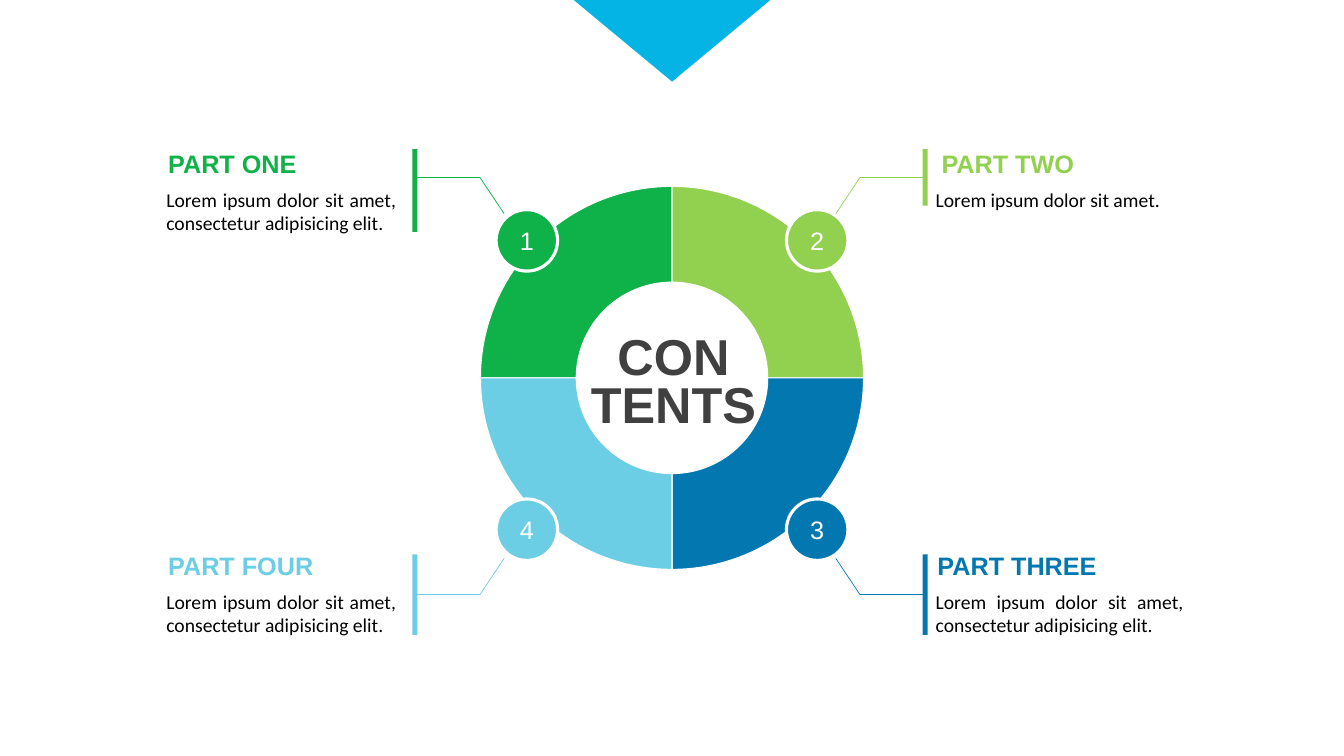
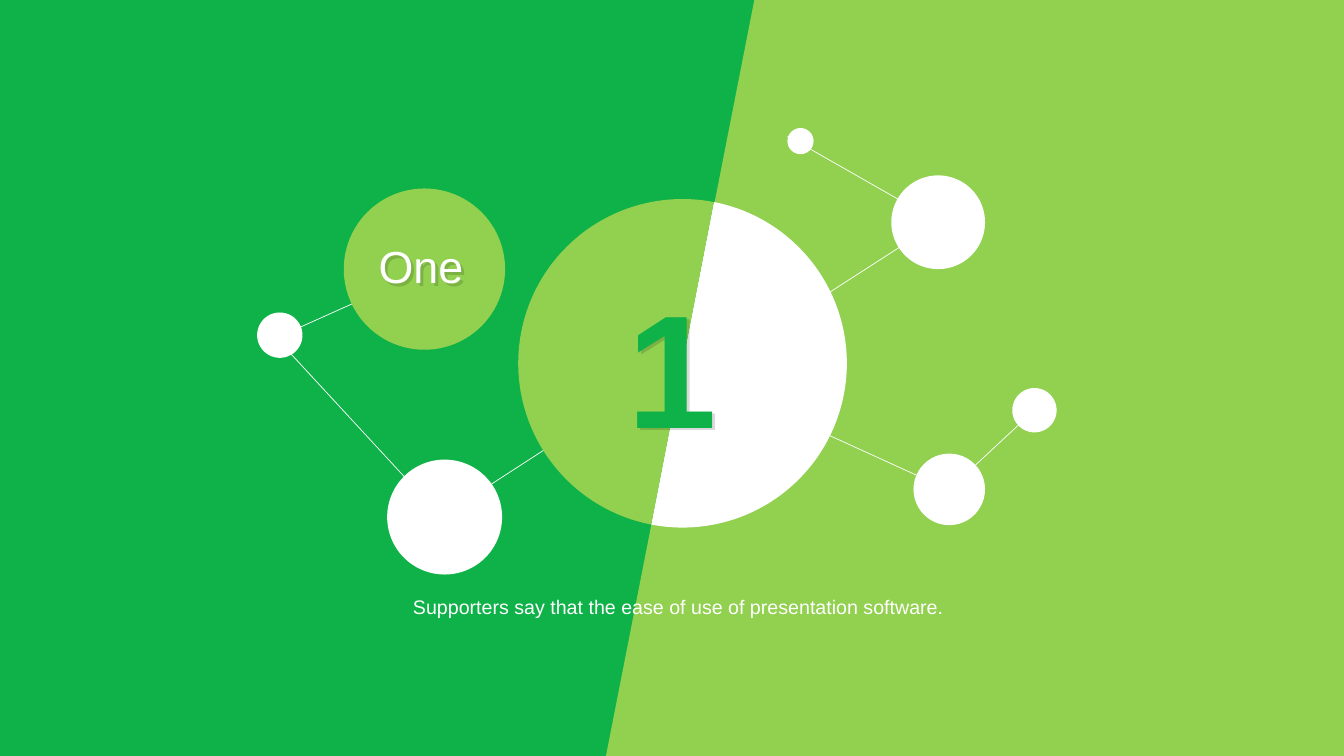
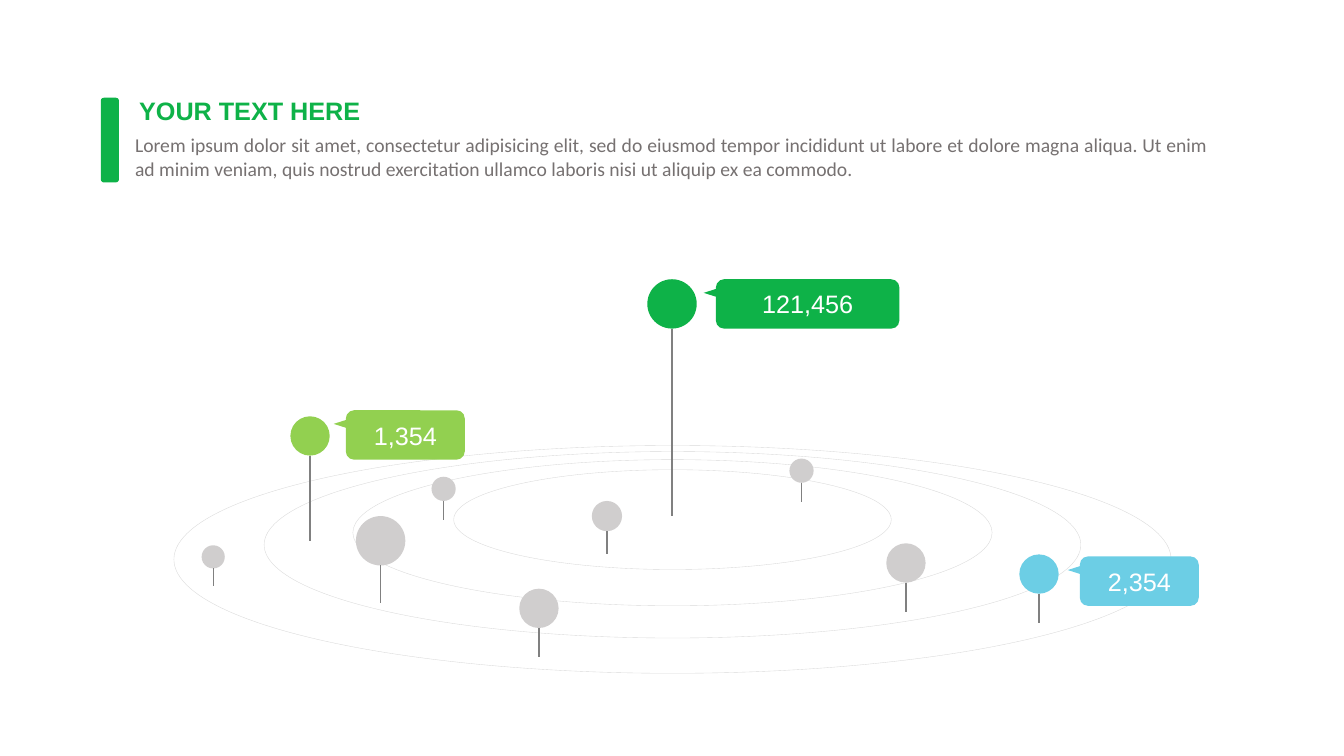
from lxml import etree
from pptx import Presentation
from pptx.chart.data import CategoryChartData
from pptx.dml.color import RGBColor
from pptx.enum.chart import XL_CHART_TYPE
from pptx.enum.shapes import MSO_CONNECTOR, MSO_SHAPE
from pptx.enum.text import MSO_ANCHOR, MSO_AUTO_SIZE, PP_ALIGN
from pptx.oxml import parse_xml
from pptx.oxml.ns import qn
from pptx.util import Inches, Pt

GREEN, LIME, BLUE, AQUA, CYAN = "0EB248", "92D050", "0378B0", "6CCEE5", "04B4E5"
WHITE, BLACK, CHARCOAL = "FFFFFF", "000000", "404040"
STEM, PIN, RING, MUTED = "808080", "D0CECE", "D9D9D9", "767171"
DRAWING = "http://schemas.openxmlformats.org/drawingml/2006/main"
LOREM = "Lorem ipsum dolor sit amet"


# Shared helpers
def rgb(value):
    return RGBColor.from_string(value)


def inches(*lengths):
    return [Inches(length) for length in lengths]


def add_page(deck, background=WHITE):
    page = deck.slides.add_slide(deck.slide_layouts[5])
    page.background.fill.solid()
    page.background.fill.fore_color.rgb = rgb(background)
    return page


def write(frame, text, size, color, bold=False, name="Arial", align=PP_ALIGN.LEFT):
    frame.text = text
    for para in frame.paragraphs:
        para.alignment = align
        para.font.size = Pt(size)
        para.font.bold = bold
        para.font.name = name
        para.font.color.rgb = rgb(color)


def set_title(page, at, text, size, color, bold=True, align=PP_ALIGN.LEFT):
    """Place the title in front of everything drawn so far."""
    title = page.shapes.title
    title.left, title.top, title.width, title.height = inches(*at)
    title.element.getparent().append(title.element)
    frame = title.text_frame
    write(frame, text, size, color, bold, align=align)
    frame.auto_size = MSO_AUTO_SIZE.NONE
    frame.vertical_anchor = MSO_ANCHOR.TOP
    frame.word_wrap = False
    return title


def add_label(page, at, text, size, color, bold=False, align=PP_ALIGN.LEFT):
    box = page.shapes.add_textbox(*inches(*at))
    box.text_frame.word_wrap = True
    write(box.text_frame, text, size, color, bold, align=align)
    return box


def add_body(page, at, text, color=BLACK):
    box = page.shapes.add_textbox(*inches(*at))
    frame = box.text_frame
    frame.word_wrap = True
    frame.margin_left = frame.margin_right = Inches(0.08)
    frame.margin_top = frame.margin_bottom = Inches(0.04)
    write(frame, text, 14, color, name="Calibri", align=PP_ALIGN.JUSTIFY)
    frame.paragraphs[0].space_after = Pt(6)


def add_shape(page, preset, at, fill=None, line=None, width=1, text=None, rotation=0):
    shape = page.shapes.add_shape(preset, *inches(*at))
    shape.shadow.inherit = False
    shape.rotation = rotation
    if fill:
        shape.fill.solid()
        shape.fill.fore_color.rgb = rgb(fill)
    else:
        shape.fill.background()
    if line:
        shape.line.color.rgb = rgb(line)
        shape.line.width = Pt(width)
    else:
        shape.line.fill.background()
    if text:
        shape.text_frame.vertical_anchor = MSO_ANCHOR.MIDDLE
        write(shape.text_frame, text, 18, WHITE, align=PP_ALIGN.CENTER)
    return shape


def add_line(page, start, end, color, width=0.5):
    line = page.shapes.add_connector(MSO_CONNECTOR.STRAIGHT, *inches(*start, *end))
    line.line.color.rgb = rgb(color)
    line.line.width = Pt(width)
    etree.SubElement(line.element.spPr, qn("a:effectLst"))
    return line


def add_text_shadow(shape):
    shape.element.spPr.append(parse_xml(
        f'<a:effectLst xmlns:a="{DRAWING}">'
        '<a:outerShdw dist="38100" dir="2700000" algn="tl" rotWithShape="0">'
        '<a:srgbClr val="000000"><a:alpha val="15000"/></a:srgbClr>'
        '</a:outerShdw></a:effectLst>'))


def add_round_chart(page, kind, at, diameter, start, colors, hole=None, line=None):
    data = CategoryChartData()
    data.categories = [str(number + 1) for number in range(len(colors))]
    data.add_series("Series 1", [100 // len(colors)] * len(colors))
    chart = page.shapes.add_chart(kind, *inches(*at), data).chart
    chart.has_legend = False
    chart.has_title = False
    chart.font.size = Pt(10)
    chart.font.name = "Arial"
    chart.font.color.rgb = rgb(BLACK)
    plot = chart.plots[0]
    plot.vary_by_categories = True
    for index, color in enumerate(colors):
        look = plot.series[0].points[index].format
        look.fill.solid()
        look.fill.fore_color.rgb = rgb(color)
        if line:
            look.line.color.rgb = rgb(line)
            look.line.width = Pt(0.75)
        else:
            look.line.fill.background()

    # Start angle and hole close the plot element
    area = chart.element.find(".//" + qn("c:plotArea"))
    ring = area.find(qn("c:pieChart"))
    if ring is None:
        ring = area.find(qn("c:doughnutChart"))
    for tag, value in (("c:firstSliceAng", start), ("c:holeSize", hole)):
        for old in ring.findall(qn(tag)):
            ring.remove(old)
        if value is not None:
            etree.SubElement(ring, qn(tag)).set("val", str(value))

    # Centre the circle in the chart frame
    for old in area.findall(qn("c:layout")):
        area.remove(old)
    layout = etree.Element(qn("c:layout"))
    manual = etree.SubElement(layout, qn("c:manualLayout"))
    wide, high = diameter / at[2], diameter / at[3]
    for tag, value in (("layoutTarget", "inner"), ("xMode", "edge"), ("yMode", "edge"),
                       ("x", (1 - wide) / 2), ("y", (1 - high) / 2),
                       ("w", wide), ("h", high)):
        text = value if isinstance(value, str) else f"{value:.4f}"
        etree.SubElement(manual, qn("c:" + tag)).set("val", text)
    area.insert(0, layout)


# Contents
def add_part(page, number, heading, body, color, right, lower, bar_height,
             heading_left, body_left, body_width):
    def across(x):
        return x if right else 13.29 - x

    def down(y):
        return 7.66 - y if lower else y

    add_shape(page, MSO_SHAPE.OVAL,
              (7.8 if right else 4.92, 4.95 if lower else 2.08, 0.61, 0.61),
              color, WHITE, 2.25, number)
    top = 5.41 if lower else 1.42
    add_label(page, (heading_left, top, 2.2, 0.4), heading, 18, color, True)
    add_body(page, (body_left, top + 0.4, body_width, 0.54), body)
    bar_top = 5.5 if lower else 1.48
    bar = add_shape(page, MSO_SHAPE.RECTANGLE,
                    (9.15 if right else 4.09, bar_top, 0.05, bar_height), color)
    bend = (across(8.53), down(1.76))
    add_line(page, (across(8.29), down(2.12)), bend, color)
    arm = add_line(page, bend, (across(9.15), down(1.76)), color)
    if abs(bar_top + bar_height / 2 - down(1.76)) < 0.01:
        arm.end_connect(bar, 1 if right else 3)


def build_contents(deck):
    page = add_page(deck)
    add_round_chart(page, XL_CHART_TYPE.DOUGHNUT, (4.6, 1.71, 4.13, 4.08), 3.8, 270,
                    [GREEN, LIME, BLUE, AQUA], 75, WHITE)
    long_text = LOREM + ", consectetur adipisicing elit."
    parts = [
        ("1", "PART ONE", long_text, GREEN, False, False, 0.82, 1.57, 1.57, 2.44),
        ("2", "PART TWO", LOREM + ".", LIME, True, False, 0.56, 9.24, 9.2, 3.38),
        ("3", "PART THREE", long_text, BLUE, True, True, 0.8, 9.2, 9.2, 2.62),
        ("4", "PART FOUR", long_text, AQUA, False, True, 0.8, 1.57, 1.57, 2.44),
    ]
    for part in parts:
        add_part(page, *part)
    add_shape(page, MSO_SHAPE.ISOSCELES_TRIANGLE, (5.69, 0, 1.95, 0.81), CYAN, rotation=180)
    title = set_title(page, (5.75, 3.24, 1.86, 1.18), "CON\nTENTS", 36, CHARCOAL,
                      align=PP_ALIGN.CENTER)
    title.text_frame.vertical_anchor = MSO_ANCHOR.MIDDLE
    for para in title.text_frame.paragraphs:
        para.line_spacing = Pt(34)
        para.space_before = Pt(0)


# Section opener
def build_section(deck):
    page = add_page(deck, GREEN)
    panel = add_shape(page, MSO_SHAPE.FLOWCHART_MANUAL_INPUT, (5.94, 0.07, 7.5, 7.36),
                      LIME, rotation=270)
    panel.element.spPr.find(qn("a:xfrm")).set("flipH", "1")
    links = [
        ((2.79, 3.33), (4.84, 2.41)), ((4.6, 4.98), (6.73, 3.6)),
        ((6.69, 3.62), (9.41, 4.86)), ((7.36, 3.46), (9.19, 2.28)),
        ((9.41, 4.86), (10.26, 4.07)), ((2.7, 3.31), (4.38, 5.13)),
        ((7.81, 1.35), (9.3, 2.2)),
    ]
    for start, end in links:
        add_line(page, start, end, WHITE)
    add_round_chart(page, XL_CHART_TYPE.PIE, (5, 1.71, 3.54, 3.79), 3.26, 11, [WHITE, LIME])
    dots = [
        (3.41, 1.87, 1.6, LIME), (9.06, 4.5, 0.71, WHITE), (10.04, 3.85, 0.44, WHITE),
        (2.55, 3.1, 0.45, WHITE), (7.81, 1.27, 0.26, WHITE), (8.84, 1.74, 0.93, WHITE),
        (3.84, 4.56, 1.14, WHITE),
    ]
    for left, top, size, color in dots:
        add_shape(page, MSO_SHAPE.OVAL, (left, top, size, size), color)
    number = add_label(page, (6.13, 2.6, 1.12, 2.04), "1", 115, GREEN, True)
    add_text_shadow(number)
    title = set_title(page, (3.65, 2.32, 1.05, 0.64), "One", 32, WHITE, False,
                      PP_ALIGN.CENTER)
    add_text_shadow(title)
    add_label(page, (3.98, 5.85, 5.5, 0.34),
              "Supporters say that the ease of use of presentation software.",
              14, WHITE, align=PP_ALIGN.CENTER)


# Pin map
def add_pin(page, left, top, size, foot, color=PIN):
    add_shape(page, MSO_SHAPE.OVAL, (left, top, size, size), color)
    middle = left + size / 2
    add_line(page, (middle, top + size), (middle, foot), STEM, 1)


def add_callout(page, left, top, width, text, color):
    add_shape(page, MSO_SHAPE.ROUNDED_RECTANGLE, (left, top, width, 0.49), color, text=text)
    add_shape(page, MSO_SHAPE.ISOSCELES_TRIANGLE, (left - 0.06, top - 0.03, 0.21, 0.33),
              color, rotation=270)


def build_pin_map(deck):
    page = add_page(deck)
    for top, width, height in ((4.66, 4.34, 0.99), (4.56, 6.34, 1.45),
                               (4.48, 8.1, 1.85), (4.42, 9.89, 2.26)):
        add_shape(page, MSO_SHAPE.OVAL, (6.67 - width / 2, top, width, height),
                  line=RING, width=0.25)
    pins = [
        (6.42, 2.77, 0.49, 5.12, GREEN), (3.53, 5.12, 0.49, 5.98),
        (2.88, 4.13, 0.39, 5.37, LIME), (4.28, 4.73, 0.24, 5.16),
        (5.87, 4.97, 0.3, 5.5), (5.15, 5.84, 0.39, 6.52), (2, 5.41, 0.23, 5.81),
        (10.11, 5.5, 0.39, 6.18, AQUA), (8.79, 5.39, 0.39, 6.07),
        (7.83, 4.55, 0.24, 4.98),
    ]
    for pin in pins:
        add_pin(page, *pin)
    add_callout(page, 7.1, 2.77, 1.82, "121,456", GREEN)
    add_callout(page, 10.71, 5.52, 1.18, "2,354", AQUA)
    add_callout(page, 3.43, 4.07, 1.18, "1,354", LIME)
    set_title(page, (1.28, 0.9, 2.42, 0.4), "YOUR TEXT HERE", 18, GREEN)
    add_body(page, (1.26, 1.28, 10.81, 0.54),
             LOREM + ", consectetur adipisicing elit, sed do eiusmod tempor incididunt ut "
             "labore et dolore magna aliqua. Ut enim ad minim veniam, quis nostrud "
             "exercitation ullamco laboris nisi ut aliquip ex ea commodo.", MUTED)
    add_shape(page, MSO_SHAPE.ROUNDED_RECTANGLE, (1, 0.97, 0.18, 0.84), GREEN)


def main():
    deck = Presentation()
    deck.slide_width, deck.slide_height = inches(13.33, 7.5)
    build_contents(deck)
    build_section(deck)
    build_pin_map(deck)
    deck.save("out.pptx")


if __name__ == "__main__":
    main()
